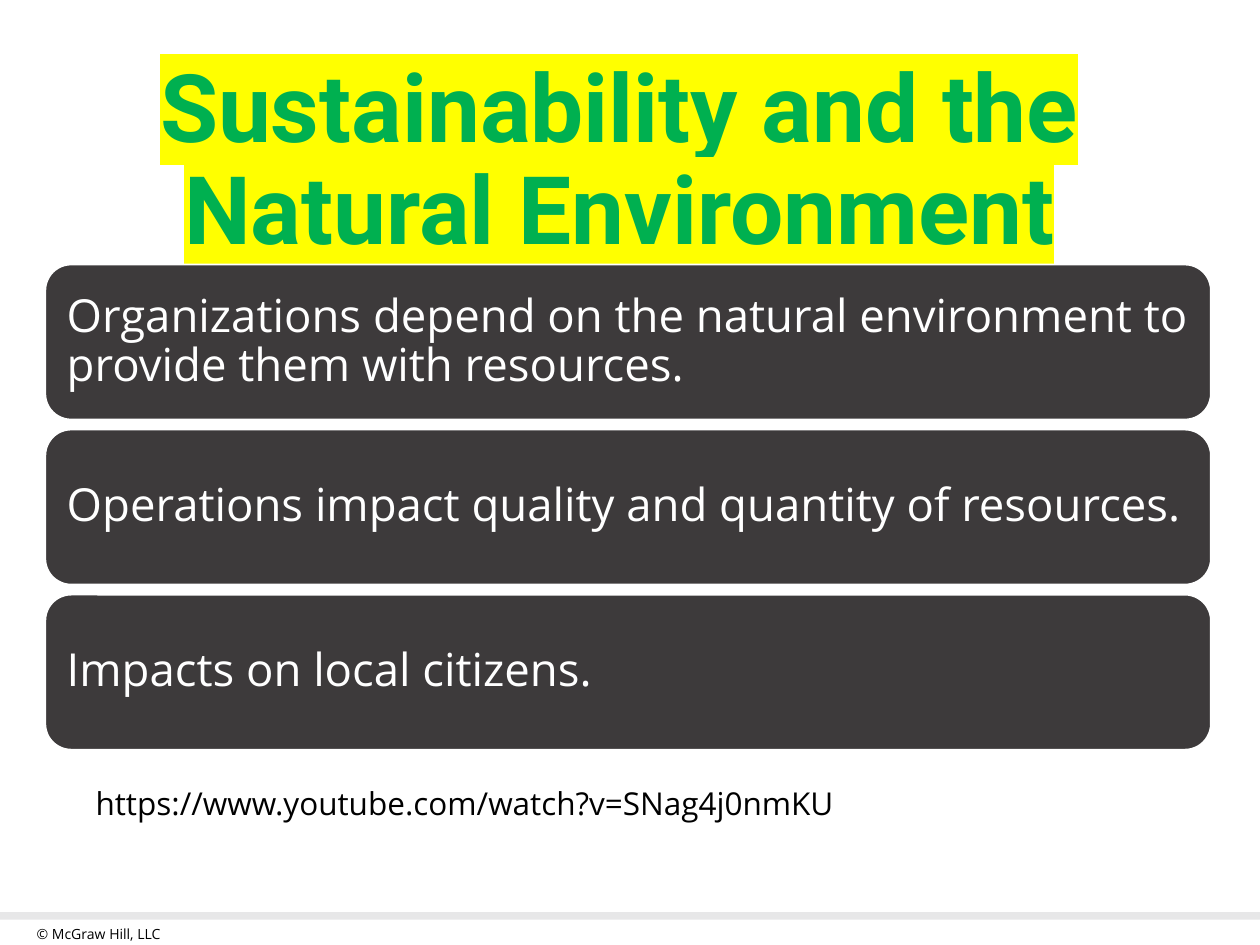
import dataclasses

import pptx
import pptx.dml.color
import pptx.enum.shapes
import pptx.enum.text
import pptx.oxml
import pptx.oxml.ns
import pptx.util
from pptx.util import Inches


@dataclasses.dataclass(frozen=True)
class Theme:
    """Colours, fonts and type sizes of the slide."""
    body_font: str = "Open Sans"
    title_font: str = "Roboto"
    title: str = "00B050"
    highlight: str = "FFFF00"
    panel: str = "3D3A3B"
    rule: str = "E7E7E8"
    white: str = "FFFFFF"
    black: str = "000000"
    title_size: int = 54
    panel_size: int = 26
    link_size: int = 18
    footer_size: int = 8


THEME = Theme()
STATEMENTS = (
    "Organizations depend on the natural environment to provide them with resources.",
    "Operations impact quality and quantity of resources.",
    "Impacts on local citizens.",
)


def rgb(value):
    """Return a colour object for a hex string."""
    return pptx.dml.color.RGBColor.from_string(value)


def highlight_run(run, color):
    """Put a highlight colour behind a run that has a solid fill."""
    namespace = pptx.oxml.ns.nsdecls("a")
    highlight = pptx.oxml.parse_xml(
        f'<a:highlight {namespace}><a:srgbClr val="{color}"/></a:highlight>')
    fill = run.font._element.find(pptx.oxml.ns.qn("a:solidFill"))
    fill.addnext(highlight)


def write_text(shape, text, *, size, color=THEME.black, font=THEME.body_font,
               bold=False, highlight=None, align="LEFT", anchor="MIDDLE",
               line_spacing=None, insets=(0.1, 0.05)):
    """Write one formatted paragraph into a shape."""
    frame = shape.text_frame
    frame.word_wrap = True
    frame.vertical_anchor = pptx.enum.text.MSO_ANCHOR[anchor]
    frame.margin_left = frame.margin_right = Inches(insets[0])
    frame.margin_top = frame.margin_bottom = Inches(insets[1])
    paragraph = frame.paragraphs[0]
    paragraph.alignment = pptx.enum.text.PP_ALIGN[align]
    paragraph.line_spacing = line_spacing
    run = paragraph.add_run()
    run.text = text
    run.font.size = pptx.util.Pt(size)
    run.font.bold = bold
    run.font.color.rgb = rgb(color)
    run.font.name = font
    if highlight:
        highlight_run(run, highlight)


def add_text(slide, box, text, **text_format):
    """Add a text box."""
    shape = slide.shapes.add_textbox(*map(Inches, box))
    write_text(shape, text, **text_format)


def add_block(slide, kind, box, fill, line=None):
    """Add a filled preset shape with an optional outline."""
    shape = slide.shapes.add_shape(
        pptx.enum.shapes.MSO_SHAPE[kind], *map(Inches, box))
    shape.shadow.inherit = False
    shape.fill.solid()
    shape.fill.fore_color.rgb = rgb(fill)
    if line:
        shape.line.color.rgb = rgb(line)
        shape.line.width = pptx.util.Pt(1)
    else:
        shape.line.fill.background()
    return shape


def add_panels(slide, statements):
    """Stack one rounded panel per statement."""
    top, pitch = 2.1, 1.31
    for index, statement in enumerate(statements):
        panel = add_block(slide, "ROUNDED_RECTANGLE",
                          (0.36, top + index * pitch, 9.25, 1.23),
                          THEME.panel, line=THEME.white)
        write_text(panel, statement, size=THEME.panel_size, color=THEME.white,
                   line_spacing=0.9, insets=(0.11, 0.11))


def main():
    """Build and save the slide."""
    presentation = pptx.Presentation()
    presentation.slide_width = Inches(10)
    presentation.slide_height = Inches(7.5)
    slide = presentation.slides.add_slide(presentation.slide_layouts[6])
    add_block(slide, "RECTANGLE", (0, 7.24, 10, 0.06), THEME.rule)
    add_text(slide, (0.24, 7.29, 1.35, 0.24), "© McGraw Hill, LLC",
             size=THEME.footer_size, insets=(0.05, 0.05))
    add_text(slide, (0.29, 0.27, 9.25, 2.04),
             "Sustainability and the Natural Environment",
             size=THEME.title_size, color=THEME.title, font=THEME.title_font,
             bold=True, highlight=THEME.highlight, align="CENTER",
             line_spacing=0.9)
    add_panels(slide, STATEMENTS)
    add_text(slide, (0.66, 6.17, 6.95, 0.4),
             "https://www.youtube.com/watch?v=SNag4j0nmKU",
             size=THEME.link_size, anchor="TOP")
    presentation.save("out.pptx")


if __name__ == "__main__":
    main()
